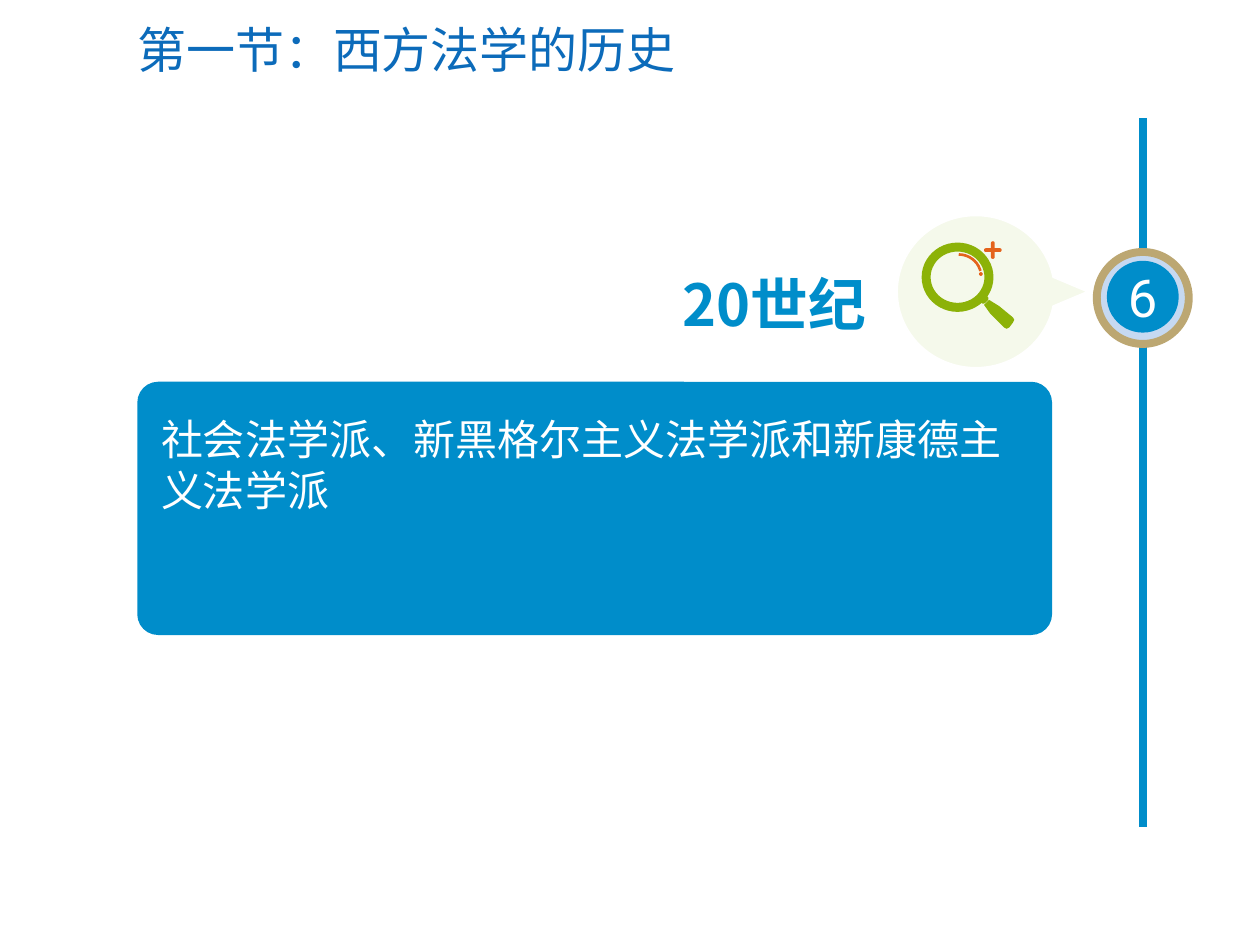
"""Build a timeline slide about the history of Western jurisprudence."""
from dataclasses import dataclass
from typing import Optional

from lxml import etree
from pptx import Presentation
from pptx import util as u
from pptx.dml.color import RGBColor
from pptx.enum import shapes, text
from pptx.oxml.ns import qn


@dataclass(frozen=True)
class Theme:
    """Colours, fonts and type sizes of the slide."""
    title: str = "0C6BBA"
    blue: str = "008DCA"
    pale_blue: str = "C6D9F1"
    gold: str = "BCA772"
    lime: str = "9FCC3E"
    green: str = "8CB208"
    orange: str = "E4631C"
    white: str = "FFFFFF"
    cjk: str = "Noto Sans CJK SC"
    title_font: str = "Calibri"
    number_font: str = "Roboto"
    title_size: float = 28
    number_size: float = 30
    heading_size: float = 33
    body_size: float = 24


@dataclass(frozen=True)
class Part:
    """A preset shape with its place in inches and its look."""
    kind: shapes.MSO_SHAPE
    left: float
    top: float
    width: float
    height: float
    fill: Optional[str] = None
    line: Optional[str] = None
    line_width: float = 1
    adjustments: tuple[float, ...] = ()
    rotation: float = 0
    opacity: int = 100


THEME = Theme()
KIND = shapes.MSO_SHAPE
AXIS_X, AXIS_TOP, AXIS_BOTTOM = 9.07, 0.94, 6.56
LENS_X, LENS_Y = 7.6, 2.2
PLUS_X, PLUS_Y = 7.88, 1.985

PANEL = Part(KIND.ROUNDED_RECTANGLE, 1.09, 3.03, 7.26, 2.01, THEME.blue, adjustments=(0.082,))
BADGE_RIM = Part(KIND.OVAL, AXIS_X - 0.365, 2, 0.73, 0.73, THEME.pale_blue, THEME.gold, 4.5)
BADGE = Part(KIND.OVAL, AXIS_X - 0.285, 2.07, 0.57, 0.57, THEME.blue)
ICON = (
    Part(KIND.OVAL_CALLOUT, 7.12, 1.71, 1.25, 1.21, THEME.lime, THEME.white,
         adjustments=(0.71, 0), opacity=10),
    Part(KIND.DONUT, LENS_X - 0.285, LENS_Y - 0.275, 0.57, 0.55, THEME.green,
         adjustments=(0.13,)),
    Part(KIND.ROUNDED_RECTANGLE, 7.78, 2.36, 0.07, 0.04, THEME.green,
         adjustments=(0.5,), rotation=-45),
    Part(KIND.ROUNDED_RECTANGLE, PLUS_X - 0.07, PLUS_Y - 0.015, 0.14, 0.03, THEME.orange,
         adjustments=(0.5,)),
    Part(KIND.ROUNDED_RECTANGLE, PLUS_X - 0.015, PLUS_Y - 0.07, 0.03, 0.14, THEME.orange,
         adjustments=(0.5,)),
    Part(KIND.ARC, LENS_X - 0.17, LENS_Y - 0.18, 0.36, 0.36, line=THEME.orange, line_width=1.5,
         adjustments=(162, 206.4)),
    Part(KIND.OVAL, 7.77, 2.16, 0.03, 0.03, THEME.orange),
)
HANDLE = ((7.81, 2.42), (7.85, 2.38), (7.93, 2.43), (8.04, 2.52), (8.05, 2.54), (8.04, 2.56),
          (8.01, 2.6), (7.99, 2.61), (7.97, 2.6), (7.86, 2.49))


def paint(shape, fill: Optional[str], line: Optional[str] = None, line_width: float = 1) -> None:
    """Set the fill and outline of a shape and drop its shadow."""
    shape.shadow.inherit = False
    if fill:
        shape.fill.solid()
        shape.fill.fore_color.rgb = RGBColor.from_string(fill)
    else:
        shape.fill.background()
    if line:
        shape.line.color.rgb = RGBColor.from_string(line)
        shape.line.width = u.Pt(line_width)
    else:
        shape.line.fill.background()


def add_part(slide, part: Part):
    """Draw one preset shape."""
    shape = slide.shapes.add_shape(part.kind, u.Inches(part.left), u.Inches(part.top),
                                   u.Inches(part.width), u.Inches(part.height))
    for index, value in enumerate(part.adjustments):
        shape.adjustments[index] = value
    shape.rotation = part.rotation
    paint(shape, part.fill, part.line, part.line_width)
    if part.opacity < 100:
        color = shape.fill._xPr.find(qn("a:solidFill"))[0]
        etree.SubElement(color, qn("a:alpha")).set("val", str(part.opacity * 1000))
    return shape


def write(shape, content: str, *, size: float, color: str, font: str, bold: bool = False,
          align=text.PP_ALIGN.LEFT, anchor=text.MSO_ANCHOR.TOP,
          spacing: Optional[float] = None, margin: Optional[float] = None) -> None:
    """Put formatted text in a shape."""
    frame = shape.text_frame
    frame.word_wrap = True
    frame.vertical_anchor = anchor
    if margin is not None:
        frame.margin_left = frame.margin_right = u.Inches(margin)
        frame.margin_top = frame.margin_bottom = u.Inches(margin)
    paragraph = frame.paragraphs[0]
    paragraph.alignment = align
    if spacing:
        paragraph.line_spacing = u.Pt(spacing)
    run = paragraph.add_run()
    run.text = content
    run.font.size = u.Pt(size)
    run.font.bold = bold
    run.font.name = font
    run.font.color.rgb = RGBColor.from_string(color)
    east_asian = etree.Element(qn("a:ea"), typeface=THEME.cjk)
    run.font._element.find(qn("a:latin")).addnext(east_asian)


def add_text_box(slide, left: float, top: float, width: float, height: float):
    """Add an empty text box placed in inches."""
    return slide.shapes.add_textbox(u.Inches(left), u.Inches(top),
                                    u.Inches(width), u.Inches(height))


def add_axis(slide) -> None:
    """Draw the vertical timeline."""
    axis = slide.shapes.add_connector(shapes.MSO_CONNECTOR.STRAIGHT,
                                      u.Inches(AXIS_X), u.Inches(AXIS_TOP),
                                      u.Inches(AXIS_X), u.Inches(AXIS_BOTTOM))
    axis.line.color.rgb = RGBColor.from_string(THEME.blue)
    axis.line.width = u.Pt(4.5)
    etree.SubElement(axis._element.spPr, qn("a:effectLst"))


def add_handle(slide) -> None:
    """Draw the handle of the magnifier."""
    points = [(u.Inches(x), u.Inches(y)) for x, y in HANDLE]
    builder = slide.shapes.build_freeform(*points[0])
    builder.add_line_segments(points[1:])
    paint(builder.convert_to_shape(), THEME.green)


def main() -> None:
    """Build and save the slide."""
    presentation = Presentation()
    presentation.slide_width, presentation.slide_height = u.Inches(10), u.Inches(7.5)
    slide = presentation.slides.add_slide(presentation.slide_layouts[5])

    title = slide.shapes.title
    title.left, title.top = u.Inches(0.99), u.Inches(0.1)
    title.width, title.height = u.Inches(8.72), u.Inches(0.58)
    write(title, "第一节：西方法学的历史", size=THEME.title_size, color=THEME.title,
          font=THEME.title_font, anchor=text.MSO_ANCHOR.MIDDLE)

    add_part(slide, PANEL)
    add_axis(slide)
    add_part(slide, BADGE_RIM)
    write(add_part(slide, BADGE), "6", size=THEME.number_size, color=THEME.white,
          font=THEME.number_font, align=text.PP_ALIGN.CENTER,
          anchor=text.MSO_ANCHOR.MIDDLE, margin=0)
    write(add_text_box(slide, 4.11, 2.04, 2.86, 0.66), "20世纪", size=THEME.heading_size,
          color=THEME.blue, font=THEME.cjk, bold=True, align=text.PP_ALIGN.RIGHT, spacing=43)
    write(add_text_box(slide, 1.18, 3.23, 7.04, 0.91),
          "社会法学派、新黑格尔主义法学派和新康德主义法学派", size=THEME.body_size,
          color=THEME.white, font=THEME.cjk, spacing=29)
    for part in ICON:
        add_part(slide, part)
    add_handle(slide)
    presentation.save("out.pptx")


if __name__ == "__main__":
    main()
